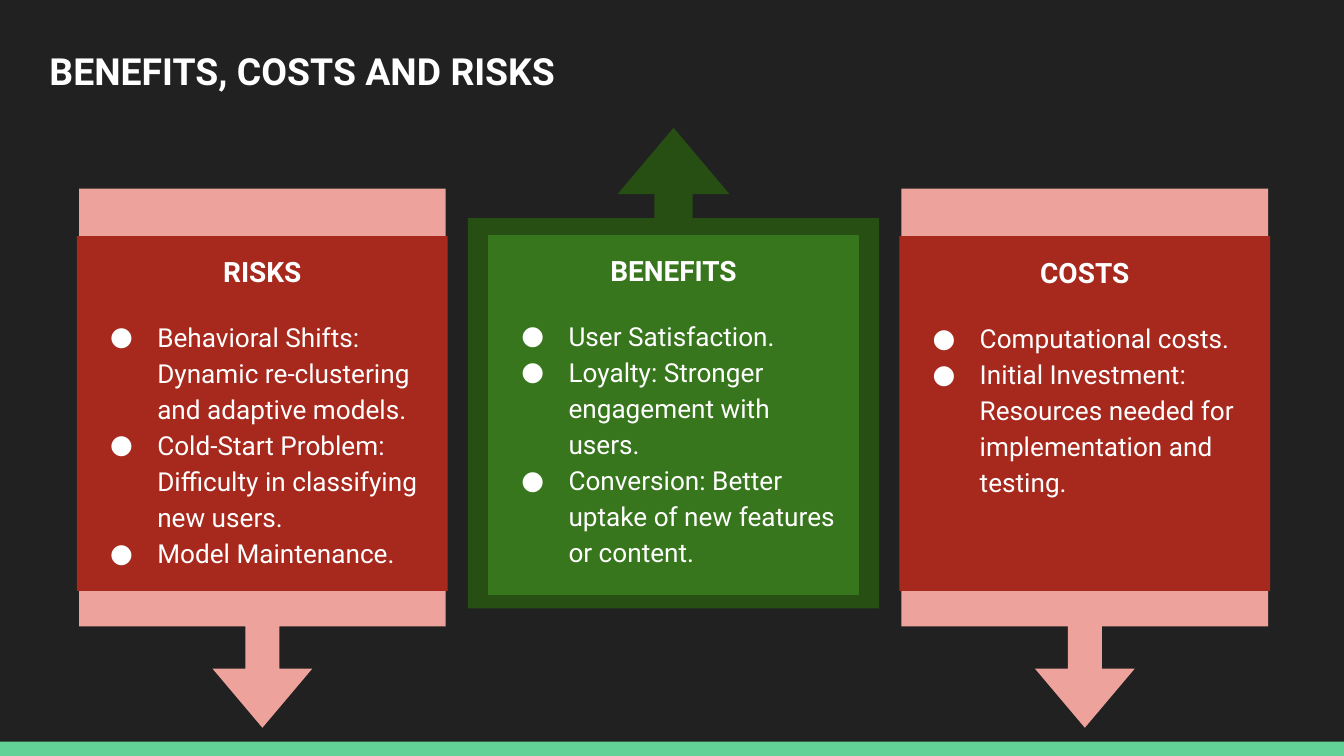
from dataclasses import dataclass

from lxml.etree import SubElement
from pptx import Presentation
from pptx.dml.color import RGBColor
from pptx.enum.shapes import MSO_SHAPE as Kind
from pptx.enum.text import MSO_ANCHOR as Anchor, PP_ALIGN as Align
from pptx.oxml.ns import qn
from pptx.util import Pt

WHITE = "FFFFFF"
RED, PINK = "A7291E", "EDA29B"
GREEN, DARK = "38761D", "274E13"

LEFT, STEP, WIDE = 41.2, 220.3, 198.7  # card columns


@dataclass
class Arrow:
    """Callout arrow: middle, length along the arrow, breadth, turn."""
    mid: float
    size: float
    broad: float
    turn: int
    fill: str


@dataclass
class Card:
    head: str
    items: list[str]
    top: float
    high: float
    fill: str
    arrow: Arrow
    pad: float = 7.2


DOWN = Arrow(245.5, 288.8, 196.4, 90, PINK)
UP = Arrow(197.2, 257.5, 220.3, 270, DARK)

CARDS = [
    Card("RISKS", [
        "Behavioral Shifts: Dynamic re-clustering and adaptive models.",
        "Cold-Start Problem: Difficulty in classifying new users.",
        "Model Maintenance.",
    ], 126.5, 190.1, RED, DOWN),
    Card("BENEFITS", [
        "User Satisfaction.",
        "Loyalty: Stronger engagement with users.",
        "Conversion: Better uptake of new features or content.",
    ], 126, 192.8, GREEN, UP),
    Card("COSTS", [
        "Computational costs.",
        "Initial Investment: Resources needed for implementation and testing.",
    ], 126.5, 190.1, RED, DOWN, 7.9),
]


def paint(fill, code: str) -> None:
    fill.solid()
    fill.fore_color.rgb = RGBColor.from_string(code)


def apply(obj, form: dict) -> None:
    for key, val in form.items():
        setattr(obj, key, val)


def block(slide, kind, x: float, y: float, w: float, h: float, code: str):
    shape = slide.shapes.add_shape(kind, Pt(x), Pt(y), Pt(w), Pt(h))
    shape.shadow.inherit = False
    paint(shape.fill, code)
    shape.line.fill.background()
    return shape


def setup(frame, pad: float = 7.2) -> None:
    apply(frame, {
        "word_wrap": True, "vertical_anchor": Anchor.TOP,
        "margin_left": Pt(7.2), "margin_right": Pt(7.2),
        "margin_top": Pt(pad), "margin_bottom": Pt(7.2),
    })


def write(para, text: str, size: float, bold: bool, **form) -> None:
    run = para.add_run()
    run.text = text
    apply(run.font, {"name": "Roboto", "size": Pt(size), "bold": bold})
    paint(run.font.fill, WHITE)
    apply(para, form)


def bullet(para) -> None:
    props = para._p.get_or_add_pPr()
    props.set("marL", str(Pt(36)))
    props.set("indent", str(Pt(-25.2)))
    tint = SubElement(props, qn("a:buClr"))
    SubElement(tint, qn("a:srgbClr"), val=WHITE)
    SubElement(props, qn("a:buFont"), typeface="Roboto")
    SubElement(props, qn("a:buChar"), char="●")


def draw_arrow(slide, arrow: Arrow, mid: float) -> None:
    shape = block(slide, Kind.RIGHT_ARROW_CALLOUT, mid - arrow.size / 2,
                  arrow.mid - arrow.broad / 2, arrow.size, arrow.broad,
                  arrow.fill)
    shape.rotation = arrow.turn
    for i, val in enumerate((0.093, 0.136, 0.161, 0.812)):
        shape.adjustments[i] = val


def draw_card(slide, card: Card, x: float) -> None:
    draw_arrow(slide, card.arrow, x + WIDE / 2)
    shape = block(slide, Kind.RECTANGLE, x, card.top, WIDE, card.high,
                  card.fill)
    frame = shape.text_frame
    setup(frame, card.pad)
    write(frame.paragraphs[0], card.head, 15, True, alignment=Align.CENTER,
          line_spacing=1.15, space_after=Pt(15.2))
    for item in card.items:
        para = frame.add_paragraph()
        write(para, item, 14, False, alignment=Align.LEFT, line_spacing=1.15)
        bullet(para)


def main() -> None:
    deck = Presentation()
    apply(deck, {"slide_width": Pt(720), "slide_height": Pt(405)})
    slide = deck.slides.add_slide(deck.slide_layouts[6])

    # Background and bottom strip
    paint(slide.background.fill, "212121")
    block(slide, Kind.RECTANGLE, 0, 397.3, 720, 7.7, "63D297")

    # Title
    box = slide.shapes.add_textbox(Pt(19.4), Pt(18.7), Pt(639.4), Pt(49.7))
    setup(box.text_frame)
    write(box.text_frame.paragraphs[0], "BENEFITS, COSTS AND RISKS", 20, True)

    # Cards with their arrows
    for i, card in enumerate(CARDS):
        draw_card(slide, card, LEFT + i * STEP)

    deck.save("out.pptx")


if __name__ == "__main__":
    main()
